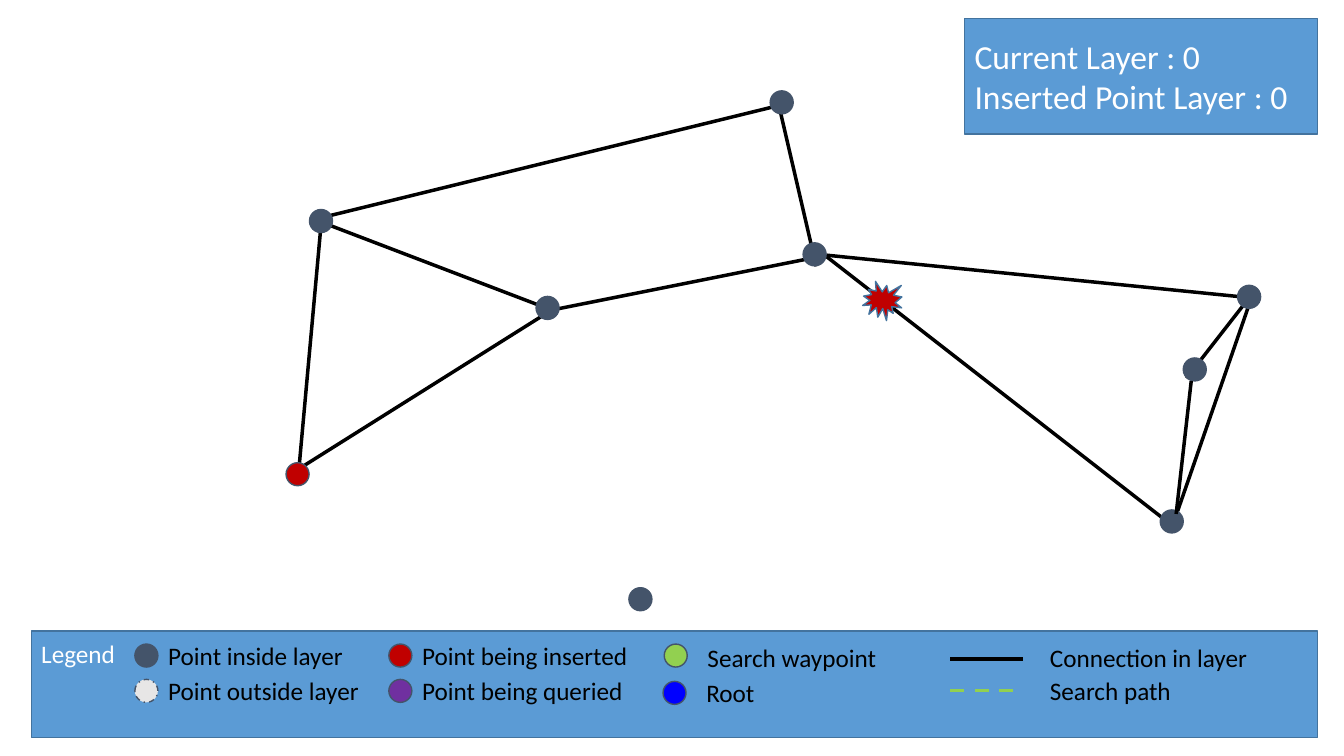
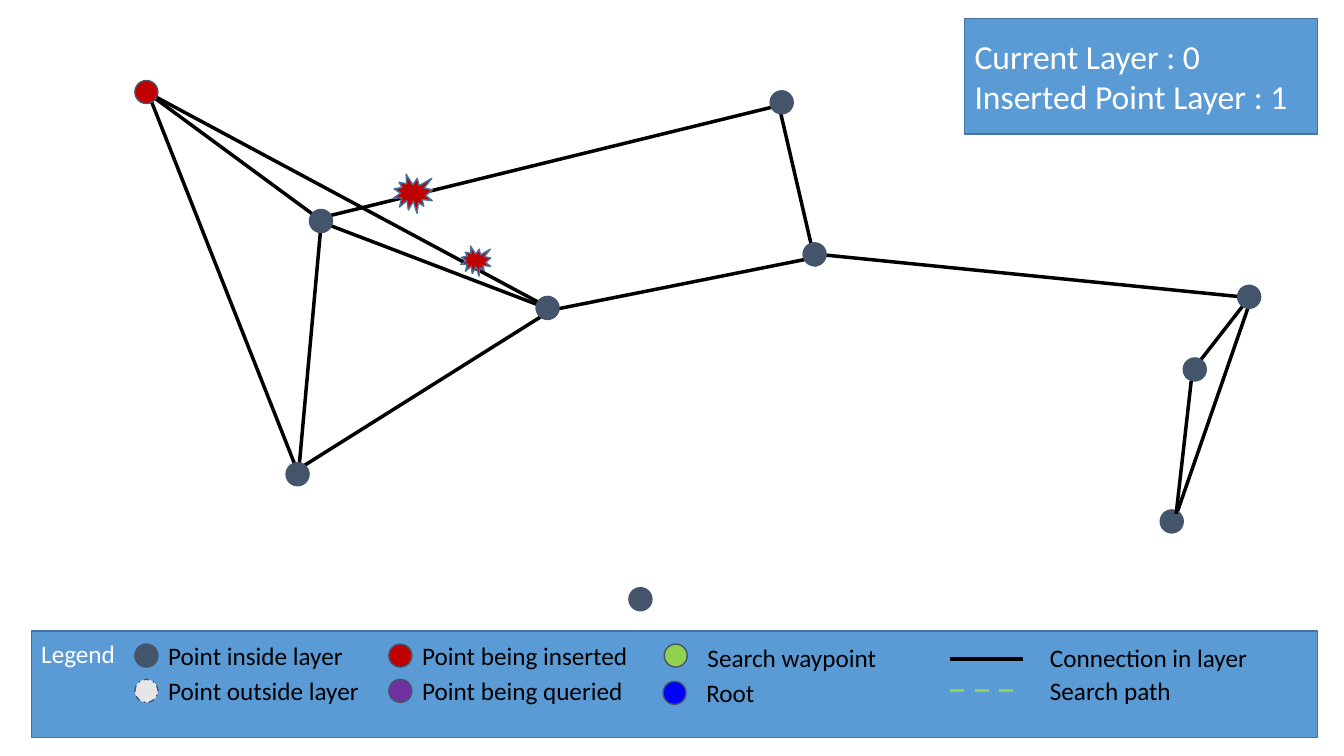
from pptx import Presentation
from pptx.dml.color import RGBColor
from pptx.enum.dml import MSO_LINE
from pptx.enum.shapes import MSO_CONNECTOR, MSO_SHAPE
from pptx.enum.text import MSO_ANCHOR, MSO_AUTO_SIZE, PP_ALIGN
from pptx.oxml.ns import qn
from pptx.util import Cm, Pt
from lxml.etree import SubElement

COLORS = {
    "panel": "5B9BD5", "panel_edge": "43739E", "inside": "44546A",
    "outside": "E7E6E6", "inserted": "C00000", "queried": "7030A0",
    "waypoint": "92D050", "root": "0000FF", "black": "000000", "white": "FFFFFF",
}
FONT = "Calibri"
DOT = 0.58
TEXT_HEIGHT = 1.03

LEGEND_BOX = (0.79, 15.9, 32.41, 2.69)
STATUS_BOX = (24.31, 0.46, 8.89, 2.92)
LEGEND_DOTS = [
    ("inside", 3.4, 16.23, None),
    ("outside", 3.4, 17.12, MSO_LINE.DASH_DOT),
    ("inserted", 9.8, 16.23, None),
    ("queried", 9.8, 17.12, None),
    ("waypoint", 16.74, 16.23, None),
    ("root", 16.71, 17.17, None),
]
LEGEND_LINES = [("black", 16.61, None), ("waypoint", 17.4, MSO_LINE.DASH)]
LEGEND_LINE_SPAN = (23.95, 25.78)
LEGEND_LABELS = [
    ("Point inside layer", 3.99, 16, 4.95),
    ("Point outside layer", 3.99, 16.89, 5.36),
    ("Point being inserted", 10.39, 16, 5.74),
    ("Point being queried", 10.39, 16.89, 5.64),
    ("Search waypoint", 17.58, 16.05, 4.8),
    ("Root", 17.55, 16.94, 1.73),
    ("Connection in layer", 26.21, 16.05, 5.54),
    ("Search path", 26.21, 16.89, 3.61),
]

POINTS = {
    "west": (7.8, 5.28), "middle": (13.51, 7.47), "center": (20.24, 6.12),
    "isolated": (15.85, 14.81), "top": (19.41, 2.29), "southeast": (29.24, 12.85),
    "inner_east": (29.82, 9.02), "southwest": (7.21, 11.66), "east": (31.19, 7.19),
}
EDGES = [
    (29.9, 9.53, 31.67, 7.26),
    (29.59, 13.13, 31.55, 7.47),
    (20.83, 6.43, 31.19, 7.47),
    (7.54, 11.81, 13.92, 7.8),
    (7.52, 11.96, 8.1, 5.56),
    (19.56, 2.36, 20.57, 6.71),
    (7.8, 5.56, 19.99, 2.57),
    (13.97, 7.8, 20.83, 6.43),
]
ARROW_EDGE = (8.08, 5.59, 14, 7.85)
FRONT_EDGE = (29.64, 12.95, 30.02, 9.6)

STEPS = [
    {
        "status": ["Current Layer : 0", "Inserted Point Layer : 0"],
        "edges": [(20.68, 6.35, 29.59, 13.28)],
        "points": {},
        "inserted": "southwest",
        "bursts": [(21.74, 7.09, 0.99)],
    },
    {
        "status": ["Current Layer : 0", "Inserted Point Layer : 1"],
        "edges": [
            (13.82, 7.75, 3.68, 2.31),
            (8.1, 5.56, 3.68, 2.31),
            (7.42, 11.68, 3.81, 2.54),
        ],
        "points": {"northwest": (3.4, 2.03)},
        "inserted": "northwest",
        "bursts": [(9.91, 4.39, 0.99), (11.61, 6.2, 0.76)],
    },
]


def rgb(name):
    return RGBColor.from_string(COLORS[name])


def set_values(target, values):
    for name, value in values.items():
        setattr(target, name, value)


def add_filled_shape(slide, kind, box, fill, edge, dash=None):
    shape = slide.shapes.add_shape(kind, *map(Cm, box))
    shape.shadow.inherit = False
    shape.fill.solid()
    shape.fill.fore_color.rgb = rgb(fill)
    shape.line.color.rgb = rgb(edge)
    set_values(shape.line, {"width": Pt(1), "dash_style": dash})
    return shape


def add_dot(slide, color, left, top, dash=None):
    add_filled_shape(slide, MSO_SHAPE.OVAL, (left, top, DOT, DOT), color, "inside", dash)


def add_edge(slide, ends, color="black", dash=None, arrow=False):
    connector = slide.shapes.add_connector(MSO_CONNECTOR.STRAIGHT, *map(Cm, ends))
    connector.line.color.rgb = rgb(color)
    set_values(connector.line, {"width": Pt(2.5), "dash_style": dash})
    if arrow:
        SubElement(connector.line._get_or_add_ln(), qn("a:tailEnd"), type="triangle")
    SubElement(connector._element.spPr, qn("a:effectLst"))


def write_lines(shape, lines, size, color, frame_values):
    frame = shape.text_frame
    set_values(frame, frame_values)
    frame.text = "\n".join(lines)
    for paragraph in frame.paragraphs:
        paragraph.alignment = PP_ALIGN.LEFT
        set_values(paragraph.font, {"name": FONT, "size": Pt(size)})
        paragraph.font.color.rgb = rgb(color)


def add_panel(slide, box, lines, size, frame_values):
    shape = add_filled_shape(slide, MSO_SHAPE.RECTANGLE, box, "panel", "panel_edge")
    write_lines(shape, lines, size, "white", frame_values)


def add_legend(slide):
    add_panel(slide, LEGEND_BOX, ["Legend"], 18,
              {"vertical_anchor": MSO_ANCHOR.TOP, "margin_top": Cm(0.18)})
    for dot in LEGEND_DOTS:
        add_dot(slide, *dot)
    start, end = LEGEND_LINE_SPAN
    for color, height, dash in LEGEND_LINES:
        add_edge(slide, (start, height, end, height), color, dash)
    for label, left, top, width in LEGEND_LABELS:
        box = slide.shapes.add_textbox(Cm(left), Cm(top), Cm(width), Cm(TEXT_HEIGHT))
        write_lines(box, [label], 18, "black",
                    {"word_wrap": False, "auto_size": MSO_AUTO_SIZE.SHAPE_TO_FIT_TEXT})


def add_burst(slide, left, top, size):
    burst = add_filled_shape(slide, MSO_SHAPE.EXPLOSION1, (left, top, size, size),
                             "inserted", "panel_edge")
    burst._element.spPr.get_or_add_xfrm().set("flipH", "1")


def add_step(presentation, step):
    slide = presentation.slides.add_slide(presentation.slide_layouts[6])
    for ends in step["edges"] + EDGES:
        add_edge(slide, ends)
    add_edge(slide, ARROW_EDGE, arrow=True)
    add_legend(slide)
    add_panel(slide, STATUS_BOX, step["status"], 24,
              {"vertical_anchor": MSO_ANCHOR.MIDDLE})
    for name, (left, top) in {**POINTS, **step["points"]}.items():
        add_dot(slide, "inserted" if name == step["inserted"] else "inside", left, top)
    add_edge(slide, FRONT_EDGE)
    for burst in step["bursts"]:
        add_burst(slide, *burst)


def main():
    presentation = Presentation()
    set_values(presentation, {"slide_width": Cm(33.87), "slide_height": Cm(19.05)})
    for step in STEPS:
        add_step(presentation, step)
    presentation.save("out.pptx")


if __name__ == "__main__":
    main()
